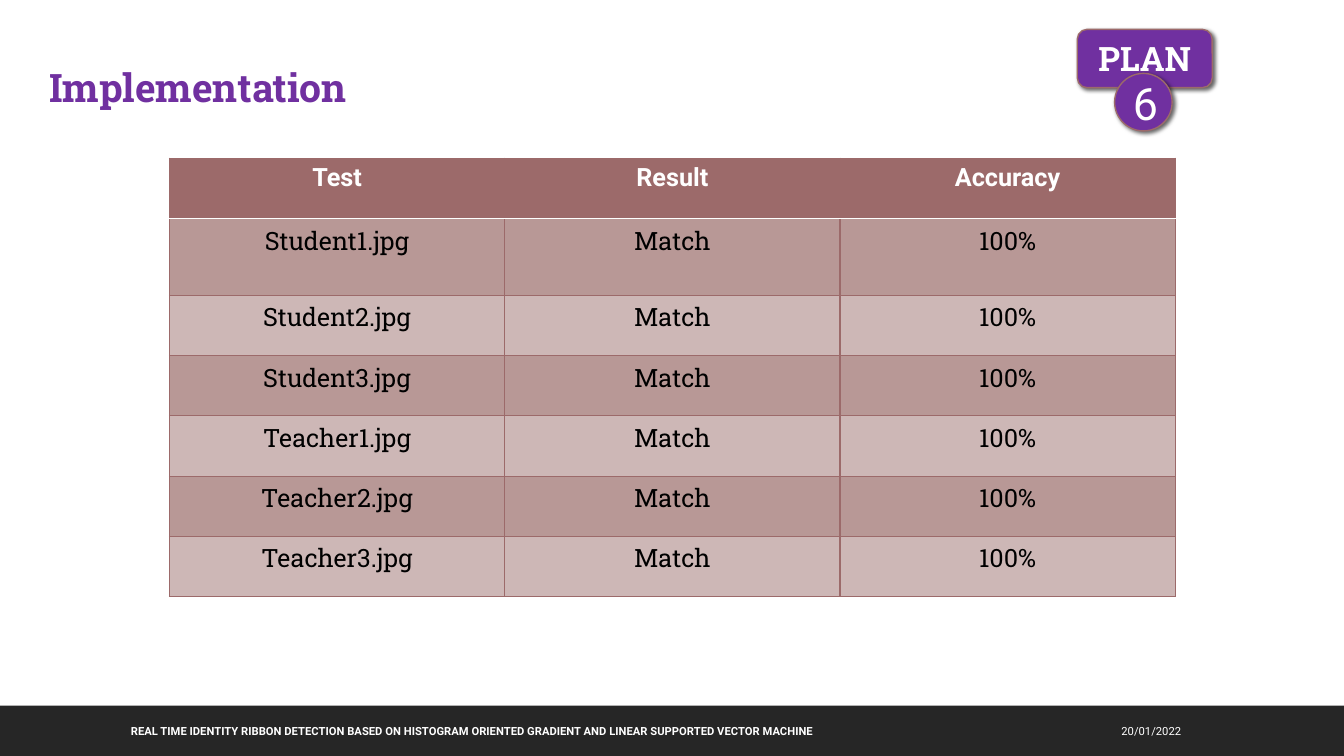
from lxml.etree import SubElement
from pptx import Presentation
from pptx.dml.color import RGBColor
from pptx.enum.shapes import MSO_SHAPE
from pptx.enum.text import MSO_ANCHOR, MSO_AUTO_SIZE, PP_ALIGN
from pptx.oxml import parse_xml
from pptx.oxml.ns import nsdecls, qn
from pptx.util import Cm, Pt

COLORS = {
    "purple": "7030A0",
    "rose": "9C6A6A",
    "band_dark": "B89896",
    "band_light": "CDB7B6",
    "bar": "262626",
    "white": "FFFFFF",
    "black": "000000",
}


def write(tf, text, size, font, color, bold=False, align=PP_ALIGN.LEFT):
    tf.text = text
    p = tf.paragraphs[0]
    p.alignment = align
    r = p.runs[0]
    r.font.size, r.font.name, r.font.bold = Pt(size), font, bold
    r.font.color.rgb = RGBColor.from_string(COLORS[color])


def set_border(cell, side, color, width):
    # Borders come before the fill in the cell properties
    tag = SubElement(cell._tc.get_or_add_tcPr(), qn(f"a:ln{side}"), w=str(Pt(width)))
    fill = SubElement(tag, qn("a:solidFill"))
    SubElement(fill, qn("a:srgbClr"), val=COLORS[color])


prs = Presentation()
prs.slide_width, prs.slide_height = Cm(33.87), Cm(19.05)
s = prs.slides.add_slide(prs.slide_layouts[5])

# Footer bar with subject and date
bar = s.shapes.add_shape(MSO_SHAPE.RECTANGLE, 0, Cm(17.78), prs.slide_width, Cm(1.27))
bar.shadow.inherit = False
bar.fill.solid()
bar.fill.fore_color.rgb = RGBColor.from_string(COLORS["bar"])
bar.line.fill.background()

subject = ("REAL TIME IDENTITY RIBBON DETECTION BASED ON HISTOGRAM ORIENTED "
           "GRADIENT AND LINEAR SUPPORTED VECTOR MACHINE")
for text, left, width, bold, align in [
    (subject, 3.05, 18.95, True, PP_ALIGN.LEFT),
    ("20/01/2022", 22.83, 7.19, False, PP_ALIGN.RIGHT),
]:
    tf = s.shapes.add_textbox(Cm(left), Cm(17.91), Cm(width), Cm(1.02)).text_frame
    tf.word_wrap = True
    tf.vertical_anchor = MSO_ANCHOR.MIDDLE
    write(tf, text, 8, "Roboto", "white", bold, align)

# Title
title = s.shapes.title
title.left, title.top, title.width, title.height = Cm(0.99), Cm(1.47), Cm(8.86), Cm(1.45)
tf = title.text_frame
tf.word_wrap = False
tf.auto_size = MSO_AUTO_SIZE.SHAPE_TO_FIT_TEXT
tf.vertical_anchor = MSO_ANCHOR.TOP
write(tf, "Implementation", 28, "Roboto Slab", "purple", True)

# Results table
names = [f"{person}{n}.jpg" for person in ("Student", "Teacher") for n in (1, 2, 3)]
rows = [("Test", "Result", "Accuracy")] + [(name, "Match", "100%") for name in names]
table = s.shapes.add_table(len(rows), 3, Cm(4.27), Cm(3.99), Cm(25.35), Cm(11.05)).table
for col in table.columns:
    col.width = Cm(8.45)
for i, values in enumerate(rows):
    table.rows[i].height = Cm(1.93 if i == 1 else 1.52)
    header = i == 0
    fill = "rose" if header else "band_dark" if i % 2 else "band_light"
    for j, text in enumerate(values):
        cell = table.cell(i, j)
        write(cell.text_frame, text, 18, "Roboto" if header else "Roboto Slab",
              "white" if header else "black", header, PP_ALIGN.CENTER)
        for side in "LRTB":
            under_header = (i, side) in [(0, "B"), (1, "T")]
            set_border(cell, side, *(("white", 1.25) if under_header else ("rose", 1)))
        cell.fill.solid()
        cell.fill.fore_color.rgb = RGBColor.from_string(COLORS[fill])

# Plan badge
for kind, left, top, width, height, text, size, font, bold in [
    (MSO_SHAPE.ROUNDED_RECTANGLE, 27.15, 0.74, 3.4, 1.47, "PLAN", 24, "Roboto Slab", True),
    (MSO_SHAPE.FLOWCHART_CONNECTOR, 28.09, 1.85, 1.45, 1.45, "6", 32, "Roboto", False),
]:
    sp = s.shapes.add_shape(kind, Cm(left), Cm(top), Cm(width), Cm(height))
    sp.fill.solid()
    sp.fill.fore_color.rgb = RGBColor.from_string(COLORS["purple"])
    sp.line.color.rgb = RGBColor.from_string(COLORS["rose"])
    sp.line.width = Pt(1)
    sp.shadow.inherit = False
    sp._element.spPr.find(qn("a:effectLst")).append(parse_xml(
        f'<a:outerShdw {nsdecls("a")} blurRad="{Pt(3)}" dist="{Pt(2)}" dir="2700000">'
        f'<a:srgbClr val="{COLORS["black"]}"><a:alpha val="60000"/></a:srgbClr></a:outerShdw>'))
    sp.text_frame.vertical_anchor = MSO_ANCHOR.MIDDLE
    write(sp.text_frame, text, size, font, "white", bold, PP_ALIGN.CENTER)

prs.save("out.pptx")
